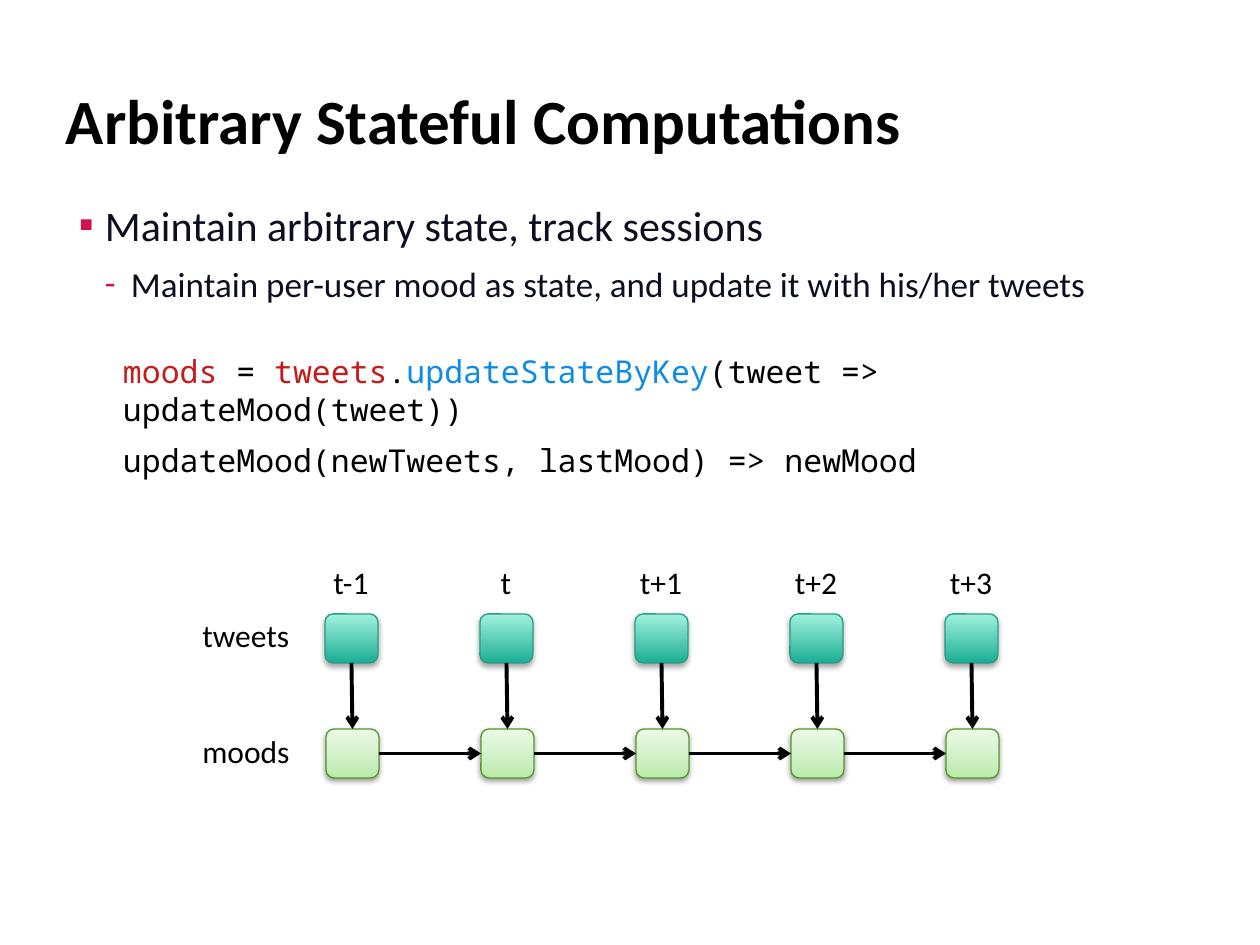
"""Build a slide on arbitrary stateful computations over a stream of tweets."""
from lxml import etree
from pptx import Presentation, util as u
from pptx.dml.color import RGBColor
from pptx.enum import shapes, text
from pptx.oxml import ns


def px(length):
    return u.Emu(round(length * 914400 / 126))


def add_xml(parent, tag, **attributes):
    return etree.SubElement(parent, ns.qn(tag), attributes)


color = RGBColor.from_string
presentation = Presentation()
presentation.slide_width, presentation.slide_height = px(1260), px(945)
slide = presentation.slides.add_slide(presentation.slide_layouts[5])

title = slide.shapes.title
title.left, title.top, title.width, title.height = px(63), px(64), px(1144), px(110)
frame = title.text_frame
frame.text = "Arbitrary Stateful Computations"
frame.auto_size = text.MSO_AUTO_SIZE.NONE
frame.vertical_anchor = text.MSO_ANCHOR.MIDDLE
frame.margin_left = frame.margin_right = frame.margin_top = frame.margin_bottom = px(3)
paragraph = frame.paragraphs[0]
paragraph.alignment = text.PP_ALIGN.LEFT
font = paragraph.font
font.name, font.size, font.bold = "Calibri", u.Pt(36), True
font.color.rgb = color("000000")

frame = slide.shapes.add_textbox(px(60), px(199), px(1144), px(672)).text_frame
frame.word_wrap = True
frame.margin_left = frame.margin_right = frame.margin_top = frame.margin_bottom = 0

bullets = [
    ("Maintain arbitrary state, track sessions", "▪", 24, 45, 0),
    ("Maintain per-user mood as state, and update it with his/her tweets", "-", 20, 71, 7.6),
]
for index, (words, bullet, size, indent, space) in enumerate(bullets):
    paragraph = frame.add_paragraph() if index else frame.paragraphs[0]
    paragraph.text = words
    paragraph.level = index
    paragraph.space_before = u.Pt(space)
    properties = paragraph._p.get_or_add_pPr()
    properties.set("marL", str(px(indent)))
    properties.set("indent", str(px(-26)))
    add_xml(add_xml(properties, "a:buClr"), "a:srgbClr", val="D11349")
    add_xml(properties, "a:buFont", typeface="Calibri")
    add_xml(properties, "a:buChar", char=bullet)
    font = paragraph.font
    font.name, font.size = "Calibri", u.Pt(size)
    font.color.rgb = color("0C0F20")

code_lines = [
    (27, [("moods ", "C61B1B"), ("= ", "000000"), ("tweets", "C61B1B"), (".", "000000"),
          ("updateStateByKey", "0D8BE6"), ("(tweet => updateMood(tweet))", "000000")]),
    (7.6, [("updateMood(newTweets, lastMood) => newMood", "000000")]),
]
for space, parts in code_lines:
    paragraph = frame.add_paragraph()
    paragraph.space_before = u.Pt(space)
    properties = paragraph._p.get_or_add_pPr()
    properties.set("marL", str(px(63)))
    properties.set("indent", "0")
    add_xml(properties, "a:buNone")
    paragraph.font.name, paragraph.font.size = "Noto Sans Mono", u.Pt(18)
    for words, shade in parts:
        run = paragraph.add_run()
        run.text = words
        run.font.color.rgb = color(shade)

labels = [("tweets", 190, 610, 113), ("moods", 190, 726, 113)]
labels += [(time, 315 + 155 * step, 557, 72)
           for step, time in enumerate(["t-1", "t", "t+1", "t+2", "t+3"])]
for words, left, top, width in labels:
    frame = slide.shapes.add_textbox(px(left), px(top), px(width), px(50)).text_frame
    frame.text = words
    paragraph = frame.paragraphs[0]
    if top == 557:
        frame.word_wrap = True
        frame.margin_left = frame.margin_right = 0
        paragraph.alignment = text.PP_ALIGN.CENTER
    font = paragraph.font
    font.name, font.size = "Calibri", u.Pt(18)
    font.color.rgb = color("000000")

rows = [
    (325, 614, [(0, "1BAD94"), (100, "A1F2DD")], "289B88", 35, 1.8),
    (326, 729, [(0, "B7EAA8"), (35, "CDEFC3"), (100, "EBFAE7")], "529827", 38, 1.6),
]
boxes = []
for left, top, stops, outline, opacity, distance in rows:
    row = []
    for step in range(5):
        shape = slide.shapes.add_shape(shapes.MSO_SHAPE.FLOWCHART_ALTERNATE_PROCESS,
                                       px(left + 155 * step), px(top), px(53), px(49))
        shape.fill.gradient()
        shape.fill.gradient_angle = 90
        stop_list = shape._element.spPr.find(".//" + ns.qn("a:gsLst"))
        stop_list.clear()
        for position, shade in stops:
            stop = add_xml(stop_list, "a:gs", pos=str(position * 1000))
            add_xml(stop, "a:srgbClr", val=shade)
        shape.line.color.rgb = color(outline)
        shape.line.width = u.Pt(0.75)
        shape.shadow.inherit = False
        effects = shape._element.spPr.find(ns.qn("a:effectLst"))
        shadow = add_xml(effects, "a:outerShdw", blurRad=str(u.Pt(3.1)),
                         dist=str(u.Pt(distance)), dir="5400000", rotWithShape="0")
        add_xml(add_xml(shadow, "a:srgbClr", val="000000"), "a:alpha", val=str(opacity * 1000))
        row.append(shape)
    boxes.append(row)

tweets, moods = boxes
links = [(tweet, 2, mood, 0) for tweet, mood in zip(tweets, moods)]
links += [(mood, 3, following, 1) for mood, following in zip(moods, moods[1:])]
for start, start_site, end, end_site in links:
    arrow = slide.shapes.add_connector(shapes.MSO_CONNECTOR.STRAIGHT, 0, 0, 0, 0)
    arrow.begin_connect(start, start_site)
    arrow.end_connect(end, end_site)
    arrow.line.color.rgb = color("000000")
    arrow.line.width = u.Pt(2.25)
    add_xml(arrow.line._get_or_add_ln(), "a:tailEnd", type="arrow")
    add_xml(arrow._element.spPr, "a:effectLst")

presentation.save("out.pptx")
